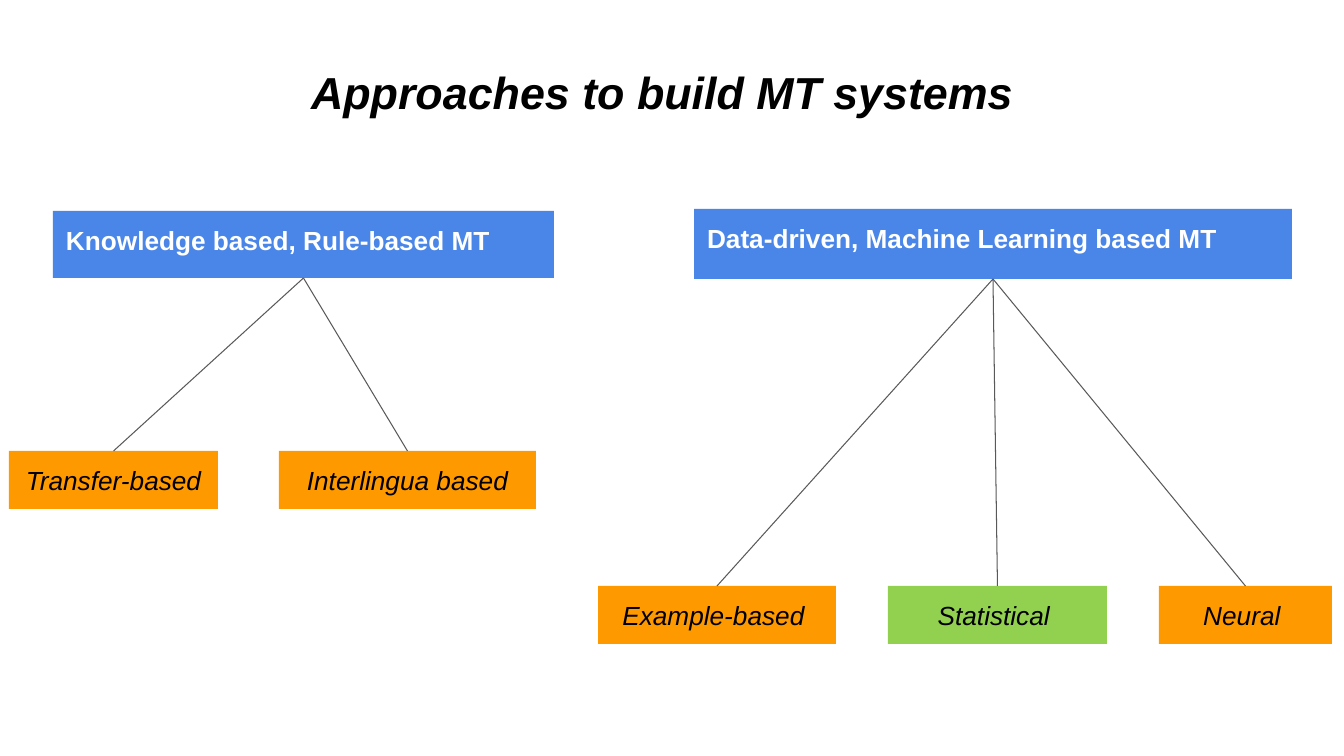
from pptx import Presentation
from pptx import util as u
from pptx.dml.color import RGBColor
from pptx.enum import shapes, text
from pptx.oxml.ns import qn
from lxml import etree

PX = 914400 / 100.8  # EMU in one px
BLUE, ORANGE, GREEN = "4A86E8", "FF9900", "92D050"
BLACK, WHITE, GREY = "000000", "FFFFFF", "595959"


def px(length):
    return u.Emu(round(length * PX))


def colour(hex_code):
    return RGBColor.from_string(hex_code)


class Diagram:
    font = "Arial"
    inset = 13
    frame_format = {"word_wrap": True, "auto_size": text.MSO_AUTO_SIZE.NONE,
                    "vertical_anchor": text.MSO_ANCHOR.TOP}

    def __init__(self, slide):
        self.slide = slide

    def label(self, shape, words, ink, align, **font_format):
        frame = shape.text_frame
        for name, value in self.frame_format.items():
            setattr(frame, name, value)
        for side in ("left", "top", "right", "bottom"):
            setattr(frame, f"margin_{side}", px(self.inset))
        paragraph = frame.paragraphs[0]
        paragraph.alignment = align
        run = paragraph.add_run()
        run.text = words
        for name, value in {"name": self.font, **font_format}.items():
            setattr(run.font, name, value)
        run.font.color.rgb = colour(ink)

    def title(self, words, left, top, width, height):
        heading = self.slide.shapes.title
        place = {"left": left, "top": top, "width": width, "height": height}
        for name, value in place.items():
            setattr(heading, name, px(value))
        self.label(heading, words, BLACK, text.PP_ALIGN.LEFT,
                   size=u.Pt(32), bold=True, italic=True)

    def box(self, words, fill, ink, align, place, **font_format):
        box = self.slide.shapes.add_shape(
            shapes.MSO_SHAPE.RECTANGLE, *map(px, place))
        box.shadow.inherit = False
        box.fill.solid()
        box.fill.fore_color.rgb = colour(fill)
        box.line.fill.background()
        self.label(box, words, ink, align, size=u.Pt(18.7), **font_format)
        return box

    def family(self, words, *place):
        return self.box(words, BLUE, WHITE, text.PP_ALIGN.LEFT, place, bold=True)

    def method(self, words, fill, *place):
        return self.box(words, fill, BLACK, text.PP_ALIGN.CENTER, place, italic=True)

    def branch(self, family, method):
        line = self.slide.shapes.add_connector(
            shapes.MSO_CONNECTOR.STRAIGHT, 0, 0, 0, 0)
        line.begin_connect(family, 2)  # bottom centre
        line.end_connect(method, 0)  # top centre
        line.line.color.rgb = colour(GREY)
        line.line.width = u.Pt(0.75)
        etree.SubElement(line._element.spPr, qn("a:effectLst"))


# Each family: its words and place, the top of its methods,
# then each method's words, fill, left and width
FAMILIES = [
    ("Knowledge based, Rule-based MT", (53, 211, 501, 67), 451, [
        ("Transfer-based", ORANGE, 9, 209),
        ("Interlingua based", ORANGE, 279, 257),
    ]),
    ("Data-driven, Machine Learning based MT", (694, 209, 598, 70), 586, [
        ("Example-based ", ORANGE, 598, 238),
        ("Statistical ", GREEN, 888, 219),
        ("Neural ", ORANGE, 1159, 173),
    ]),
]
METHOD_HEIGHT = 58


def main():
    deck = Presentation()
    deck.slide_width, deck.slide_height = px(1344), px(756)
    title_only = deck.slide_layouts[5]
    diagram = Diagram(deck.slides.add_slide(title_only))

    # Title
    diagram.title("Approaches to build MT systems", 298, 52, 747, 58)

    # Families with their methods and branches
    for family_words, place, top, methods in FAMILIES:
        family = diagram.family(family_words, *place)
        for words, fill, left, width in methods:
            method = diagram.method(words, fill, left, top, width, METHOD_HEIGHT)
            diagram.branch(family, method)

    deck.save("out.pptx")


if __name__ == "__main__":
    main()
